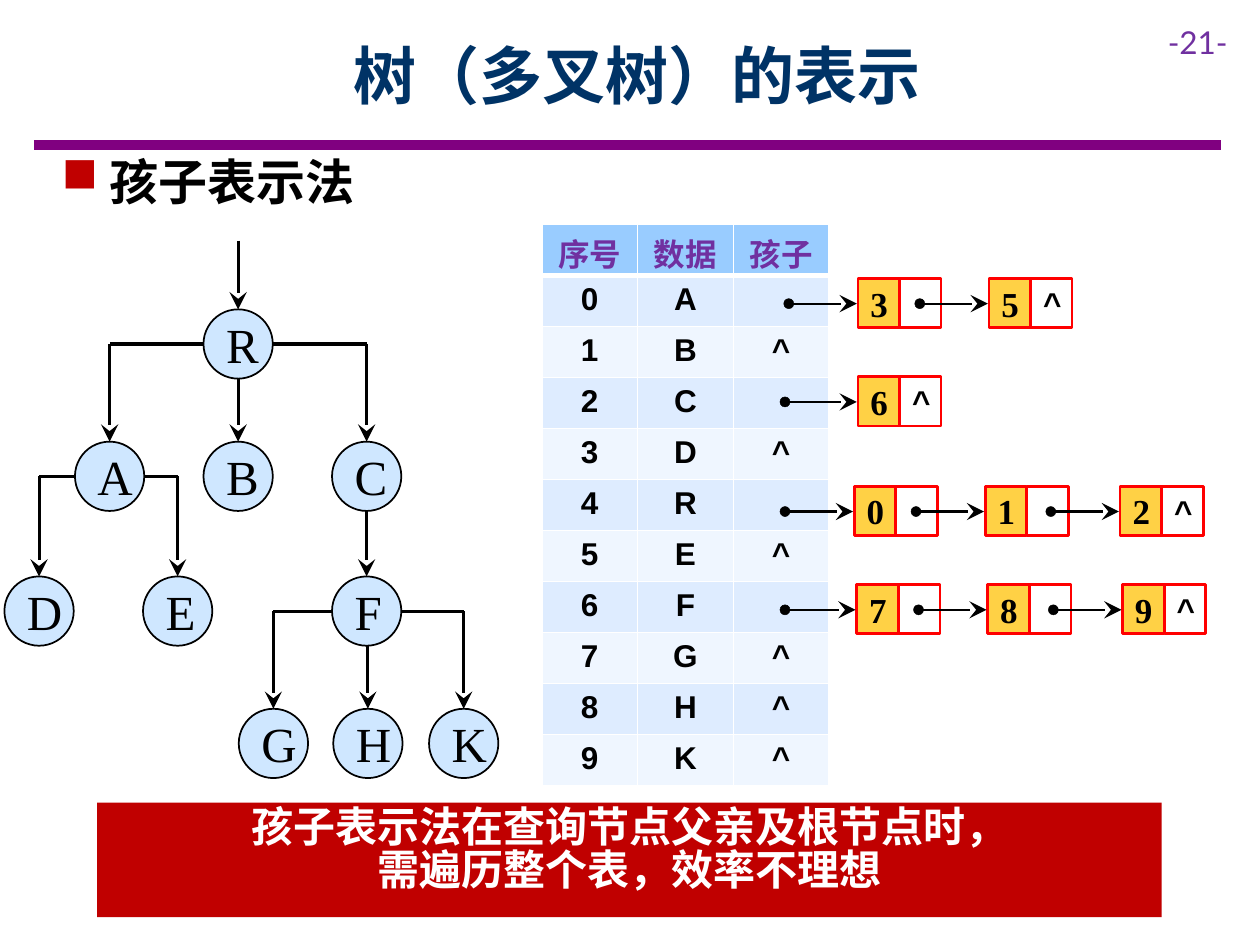
import dataclasses

import pptx
import pptx.dml.color
import pptx.enum.shapes
import pptx.enum.text
import pptx.oxml.ns
import pptx.util
from lxml import etree

Inches = pptx.util.Inches
Shape = pptx.enum.shapes.MSO_SHAPE
Align = pptx.enum.text.PP_ALIGN
Anchor = pptx.enum.text.MSO_ANCHOR


@dataclasses.dataclass(frozen=True)
class Theme:
    black: str = "000000"
    white: str = "FFFFFF"
    navy: str = "003366"
    rule: str = "800080"
    purple: str = "7030A0"
    red: str = "C00000"
    box_line: str = "FF0000"
    gold: str = "FFC000"
    blue: str = "99CCFF"
    bands: tuple = ("EFF6FF", "DEECFF")
    cjk: str = "Noto Sans CJK SC"
    serif: str = "Times New Roman"
    sans: str = "Arial"
    title: int = 36
    heading: int = 28
    banner: int = 24
    digit: int = 20
    body: int = 18
    cjk_spacing: float = 0.84


THEME = Theme()
NODE_SIZE = 0.55
LEVELS = (2.73, 3.78, 4.85, 5.9)
NODES = {  # label: (centre x, level)
    "R": (1.89, 0), "A": (0.87, 1), "B": (1.89, 1), "C": (2.91, 1),
    "D": (0.31, 2), "E": (1.41, 2), "F": (2.91, 2),
    "G": (2.17, 3), "H": (2.92, 3), "K": (3.68, 3),
}
CHILDREN = {"R": "ABC", "A": "DE", "C": "F", "F": "GHK"}
TABLE_ORDER = "ABCDREFGHK"
CHAINS = (  # first dot x, first box x, top, child numbers
    (6.22, 6.81, 2.21, "35"),
    (6.19, 6.81, 2.99, "6"),
    (6.19, 6.78, 3.86, "012"),
    (6.19, 6.80, 4.64, "789"),
)
CHAIN_OFFSETS = (0, 1.04, 2.11)
BOX_WIDTH, BOX_HEIGHT, DOT_SIZE = 0.33, 0.39, 0.08


def color(value):
    return pptx.dml.color.RGBColor.from_string(value)


def add_element(parent, tag, **attributes):
    return etree.SubElement(parent, pptx.oxml.ns.qn(tag), attributes)


def write(frame, text, face, size, ink, bold=True, align=Align.CENTER, spacing=None):
    """Fill a text frame, one paragraph per line of text."""
    for index, line in enumerate(text.split("\n")):
        paragraph = frame.add_paragraph() if index else frame.paragraphs[0]
        paragraph.alignment = align
        paragraph.line_spacing = spacing
        run = paragraph.add_run()
        run.text = line
        values = {"name": face, "size": pptx.util.Pt(size), "bold": bold}
        for name, value in values.items():
            setattr(run.font, name, value)
        run.font.color.rgb = color(ink)
        add_element(run.font._element, "a:ea", typeface=THEME.cjk)


def add_text(slide, box, text, face, size, ink, anchor=Anchor.TOP, **options):
    frame = slide.shapes.add_textbox(*map(Inches, box)).text_frame
    frame.word_wrap = True
    frame.vertical_anchor = anchor
    write(frame, text, face, size, ink, **options)
    return frame


def add_shape(slide, kind, box, fill=None, alpha=None, line=None, width=1):
    shape = slide.shapes.add_shape(kind, *map(Inches, box))
    shape.shadow.inherit = False
    if fill:
        shape.fill.solid()
        shape.fill.fore_color.rgb = color(fill)
        if alpha:
            rgb = shape.fill._xPr.find(".//" + pptx.oxml.ns.qn("a:srgbClr"))
            add_element(rgb, "a:alpha", val=str(alpha * 1000))
    else:
        shape.fill.background()
    if line:
        shape.line.color.rgb = color(line)
        shape.line.width = pptx.util.Pt(width)
    else:
        shape.line.fill.background()
    return shape


def label(shape, text, face, size, bold=True):
    frame = shape.text_frame
    for side in ("left", "top", "right", "bottom"):
        setattr(frame, "margin_" + side, Inches(0.1))
    frame.word_wrap = True
    frame.vertical_anchor = Anchor.MIDDLE
    write(frame, text, face, size, THEME.black, bold)


def add_line(slide, start, end, width, ink=THEME.black, arrow=False):
    connector = slide.shapes.add_connector(
        pptx.enum.shapes.MSO_CONNECTOR.STRAIGHT, *map(Inches, start + end))
    connector.line.color.rgb = color(ink)
    connector.line.width = pptx.util.Pt(width)
    if arrow:
        add_element(connector.line._get_or_add_ln(), "a:tailEnd",
                    type="stealth", w="lg", len="lg")
    add_element(connector._element.spPr, "a:effectLst")


def add_tree(slide):
    radius = NODE_SIZE / 2
    for name, (x, level) in NODES.items():
        box = (x - radius, LEVELS[level] - radius, NODE_SIZE, NODE_SIZE)
        node = add_shape(slide, Shape.OVAL, box, THEME.blue, 47, THEME.black)
        label(node, name, THEME.serif, THEME.heading, bold=False)
    # Arrow into the root
    root_x, root_y = NODES["R"][0], LEVELS[0]
    add_line(slide, (root_x, 1.91), (root_x, root_y - radius), 1.75, arrow=True)
    # Straight edges go down, the others leave from the side of the parent
    for parent, children in CHILDREN.items():
        parent_x, level = NODES[parent]
        y = LEVELS[level]
        for child in children:
            x = NODES[child][0]
            start_y = y + radius
            if abs(x - parent_x) > radius:
                side = radius if x > parent_x else -radius
                add_line(slide, (parent_x + side, y), (x, y), 1.75)
                start_y = y
            end = (x, LEVELS[level + 1] - radius)
            add_line(slide, (x, start_y), end, 1.75, arrow=True)


def set_borders(cell, bottom):
    properties = cell._tc.get_or_add_tcPr()
    for index, (side, width) in enumerate(zip("LRTB", (1, 1, 1, bottom))):
        line = etree.Element(pptx.oxml.ns.qn("a:ln" + side), w=str(pptx.util.Pt(width)))
        add_element(add_element(line, "a:solidFill"), "a:srgbClr", val=THEME.white)
        properties.insert(index, line)


def add_node_table(slide):
    rows = [("序号", "数据", "孩子")]
    for number, name in enumerate(TABLE_ORDER):
        rows.append((str(number), name, "" if name in CHILDREN else "^"))
    table = slide.shapes.add_table(
        len(rows), 3, *map(Inches, (4.3, 1.78, 2.28, 4.46))).table
    table.horz_banding = False
    for row_index, texts in enumerate(rows):
        header = row_index == 0
        for column_index, text in enumerate(texts):
            cell = table.cell(row_index, column_index)
            cell.fill.solid()
            cell.fill.fore_color.rgb = color(
                THEME.blue if header else THEME.bands[row_index % 2])
            set_borders(cell, 3 if header else 1)
            if header:
                cell.margin_top, cell.margin_bottom = Inches(0.09), 0
                write(cell.text_frame, text, THEME.cjk, THEME.body, THEME.purple,
                      spacing=THEME.cjk_spacing)
            elif text:
                write(cell.text_frame, text, THEME.sans, THEME.body, THEME.black)


def add_chain(slide, dot_x, first_x, top, numbers):
    y = top + 0.2
    for index, number in enumerate(numbers):
        x = first_x + CHAIN_OFFSETS[index]
        box = (x, top, BOX_WIDTH, BOX_HEIGHT)
        data = add_shape(slide, Shape.RECTANGLE, box, THEME.gold, 73, THEME.box_line, 1.5)
        label(data, number, THEME.serif, THEME.digit)
        box = (x + BOX_WIDTH, top, BOX_WIDTH, BOX_HEIGHT)
        pointer = add_shape(slide, Shape.RECTANGLE, box, line=THEME.box_line, width=1.5)
        if index == len(numbers) - 1:
            label(pointer, "^", THEME.sans, THEME.body)
        # Pointer from the preceding cell
        dot_left = x - 0.59 if index else dot_x
        add_line(slide, (dot_left + DOT_SIZE / 2, y), (x - 0.01, y), 1.25, arrow=True)
        add_shape(slide, Shape.OVAL, (dot_left, y - DOT_SIZE / 2, DOT_SIZE, DOT_SIZE),
                  THEME.black, line=THEME.black, width=0.25)


def add_heading(slide):
    frame = add_text(slide, (0.39, 1.23, 3.43, 0.57), "孩子表示法", THEME.cjk,
                     THEME.heading, THEME.black, align=Align.LEFT,
                     spacing=THEME.cjk_spacing)
    paragraph = frame.paragraphs[0]
    paragraph.space_after = pptx.util.Pt(6)
    properties = paragraph._p.get_or_add_pPr()
    properties.set("marL", str(Inches(0.38)))
    properties.set("indent", str(-Inches(0.38)))
    add_element(add_element(properties, "a:buClr"), "a:srgbClr", val=THEME.red)
    add_element(properties, "a:buChar", char="■")


def main():
    presentation = pptx.Presentation()
    presentation.slide_width, presentation.slide_height = Inches(10), Inches(7.5)
    slide = presentation.slides.add_slide(presentation.slide_layouts[6])
    # Title area
    add_line(slide, (0.27, 1.15), (9.69, 1.15), 6, THEME.rule)
    add_text(slide, (9.17, 0.13, 0.83, 0.4), "-21-", "Lato", THEME.body, THEME.purple,
             bold=False, align=Align.LEFT)
    add_text(slide, (0.9, 0.09, 8.31, 1), "树（多叉树）的表示", THEME.cjk, THEME.title,
             THEME.navy, Anchor.MIDDLE)
    add_heading(slide)
    # Tree and its child lists
    add_tree(slide)
    add_node_table(slide)
    for chain in CHAINS:
        add_chain(slide, *chain)
    # Conclusion
    banner = add_shape(slide, Shape.RECTANGLE, (0.77, 6.37, 8.45, 0.91), THEME.red)
    banner.text_frame.vertical_anchor = Anchor.TOP
    write(banner.text_frame, "孩子表示法在查询节点父亲及根节点时，\n需遍历整个表，效率不理想",
          "Cambria", THEME.banner, THEME.white, spacing=THEME.cjk_spacing)
    presentation.save("out.pptx")


if __name__ == "__main__":
    main()
